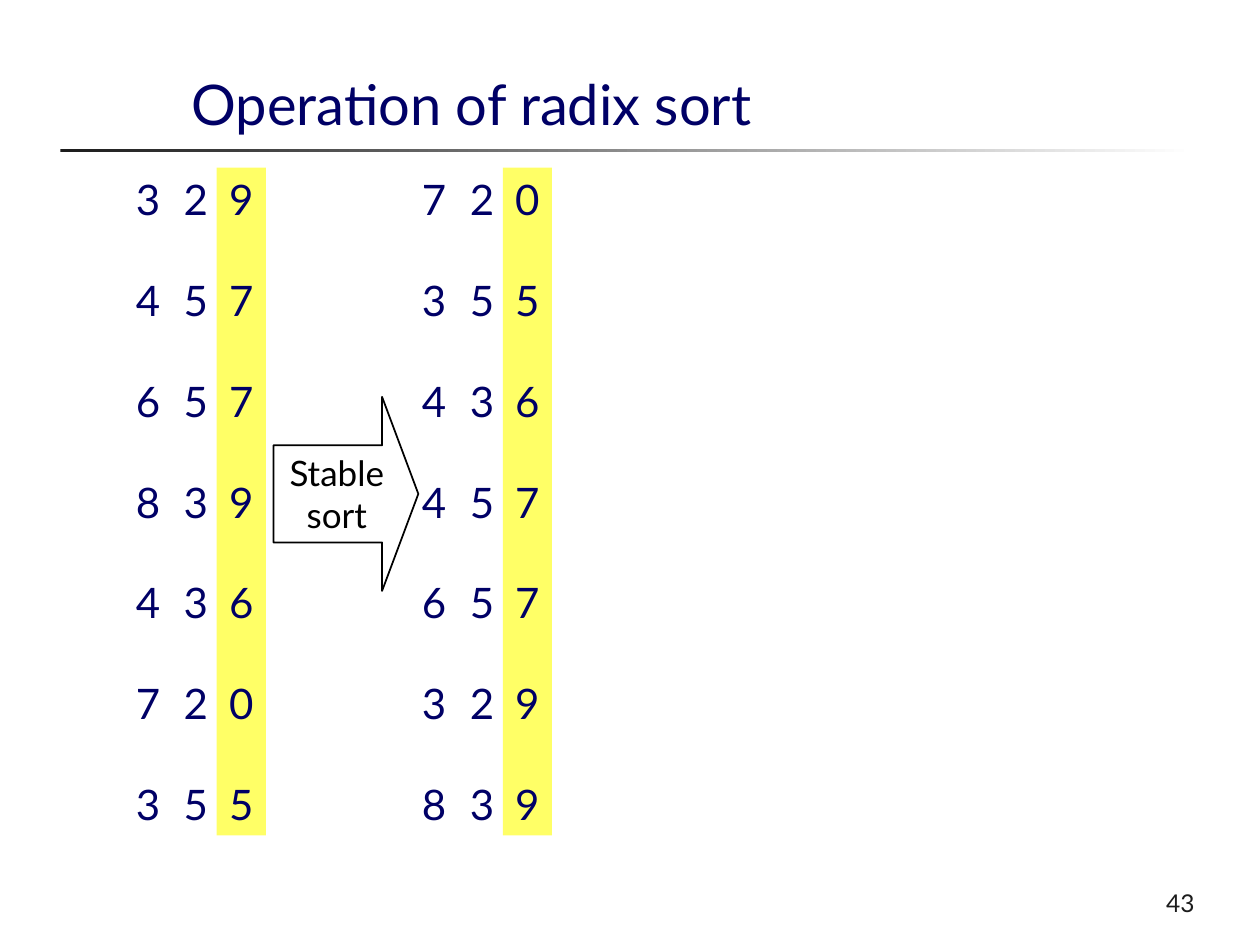
from pptx import Presentation
from pptx.dml.color import RGBColor
from pptx.enum.shapes import MSO_SHAPE
from pptx.enum.text import MSO_ANCHOR, PP_ALIGN
from pptx.util import Inches, Pt

TITLE = "Operation of radix sort"
STEP = ["Stable", "sort"]
PAGE = "43"
NUMBER_LISTS = [
    (0.98, ["329", "457", "657", "839", "436", "720", "355"]),
    (3.25, ["720", "355", "436", "457", "657", "329", "839"]),
]
DIGIT_OFFSETS = [0, 0.38, 0.74]
SORTED_DIGIT = 2
DIGITS_TOP, DIGIT_WIDTH, DIGITS_HEIGHT = 1.33, 0.39, 5.3
DIGIT_GAP = 28.8
NAVY, YELLOW, BLACK, CHARCOAL, WHITE = "000066", "FFFF66", "000000", "1C1C1C", "FFFFFF"


def color(value):
    return RGBColor.from_string(value)


def write(shape, lines, size, ink=NAVY, align=PP_ALIGN.LEFT,
          anchor=MSO_ANCHOR.TOP, wrap=True, gap=0):
    frame = shape.text_frame
    frame.word_wrap = wrap
    frame.vertical_anchor = anchor
    for index, line in enumerate(lines):
        paragraph = frame.add_paragraph() if index else frame.paragraphs[0]
        paragraph.alignment = align
        if index and gap:
            paragraph.space_before = Pt(gap)
        run = paragraph.add_run()
        run.text = line
        run.font.name = "Lato"
        run.font.size = Pt(size)
        run.font.color.rgb = color(ink)


def add_box(slide, *place):
    return slide.shapes.add_textbox(*map(Inches, place))


def add_plain_shape(slide, preset, *place):
    shape = slide.shapes.add_shape(preset, *map(Inches, place))
    shape.shadow.inherit = False
    shape.line.fill.background()
    return shape


def add_rule(slide):
    rule = add_plain_shape(slide, MSO_SHAPE.RECTANGLE, 0.48, 1.18, 9, 0.03)
    rule.fill.gradient()
    rule.fill.gradient_angle = 0
    for stop, shade in zip(rule.fill.gradient_stops, (CHARCOAL, WHITE)):
        stop.color.rgb = color(shade)


def add_digits(slide, left, numbers):
    for position, offset in enumerate(DIGIT_OFFSETS):
        place = (left + offset, DIGITS_TOP, DIGIT_WIDTH, DIGITS_HEIGHT)
        if position == SORTED_DIGIT:
            column = add_plain_shape(slide, MSO_SHAPE.RECTANGLE, *place)
            column.fill.solid()
            column.fill.fore_color.rgb = color(YELLOW)
        else:
            column = add_box(slide, *place)
        write(column, [number[position] for number in numbers], 24,
              align=PP_ALIGN.CENTER, wrap=False, gap=DIGIT_GAP)


def add_step(slide):
    arrow = add_plain_shape(slide, MSO_SHAPE.RIGHT_ARROW, 2.17, 3.15, 1.15, 1.54)
    arrow.adjustments[0] = 0.5
    arrow.adjustments[1] = 0.25
    arrow.fill.background()
    arrow.line.color.rgb = color(BLACK)
    arrow.line.width = Pt(1)
    write(arrow, STEP, 20, ink=BLACK, align=PP_ALIGN.CENTER,
          anchor=MSO_ANCHOR.MIDDLE, wrap=False)


def main():
    deck = Presentation()
    deck.slide_width, deck.slide_height = Inches(10), Inches(7.5)
    slide = deck.slides.add_slide(deck.slide_layouts[6])
    add_rule(slide)
    write(add_box(slide, 1.42, 0.5, 7.92, 0.64), [TITLE], 32)
    for left, numbers in NUMBER_LISTS:
        add_digits(slide, left, numbers)
    add_step(slide)
    write(add_box(slide, 7.5, 6.83, 2.08, 0.5), [PAGE], 14, ink=CHARCOAL,
          align=PP_ALIGN.RIGHT, anchor=MSO_ANCHOR.BOTTOM)
    deck.save("out.pptx")


if __name__ == "__main__":
    main()
